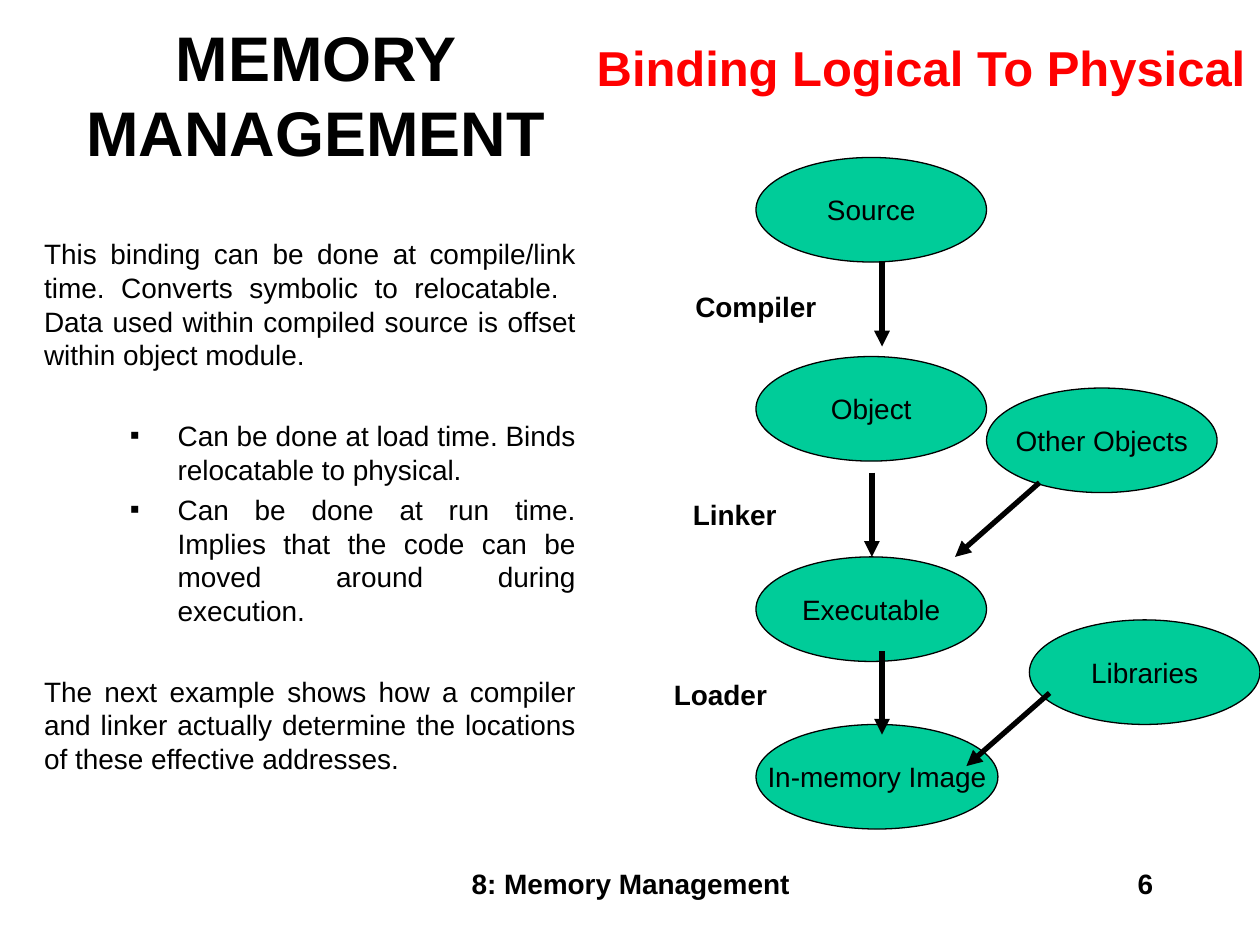
"""Build the slide on binding logical to physical addresses."""
from dataclasses import dataclass

from lxml import etree
from pptx import Presentation
from pptx.dml.color import RGBColor
from pptx.enum.shapes import MSO_CONNECTOR, MSO_SHAPE
from pptx.enum.text import MSO_ANCHOR, MSO_AUTO_SIZE, PP_ALIGN
from pptx.oxml.ns import qn
from pptx.util import Inches, Pt

LEFT, MID, RIGHT, FULL = PP_ALIGN.LEFT, PP_ALIGN.CENTER, PP_ALIGN.RIGHT, PP_ALIGN.JUSTIFY
OVAL, LINE = MSO_SHAPE.OVAL, MSO_CONNECTOR.STRAIGHT
MIDDLE, TOP = MSO_ANCHOR.MIDDLE, MSO_ANCHOR.TOP
FIXED, GROW = MSO_AUTO_SIZE.NONE, MSO_AUTO_SIZE.SHAPE_TO_FIT_TEXT


@dataclass(frozen=True)
class Theme:
    font: str = "Arial"
    ink: RGBColor = RGBColor(0, 0, 0)
    red: RGBColor = RGBColor(255, 0, 0)
    green: RGBColor = RGBColor(0, 204, 153)
    title: int = 36
    head: int = 28
    text: int = 16


theme = Theme()


def write(para, words, align=LEFT, size=theme.text, color=theme.ink, bold=False):
    para.alignment = align
    run = para.add_run()
    run.text = words
    font = run.font
    font.name, font.size, font.bold = theme.font, Pt(size), bold
    font.color.rgb = color


def place(shape, left, top, width, height):
    shape.left, shape.top = Inches(left), Inches(top)
    shape.width, shape.height = Inches(width), Inches(height)


deck = Presentation()
deck.slide_width, deck.slide_height = Inches(10), Inches(7.5)
slide = deck.slides.add_slide(deck.slide_layouts[1])
shapes = slide.shapes

title = shapes.title
place(title, 0.42, 0.33, 4.17, 0.83)
frame = title.text_frame
frame.auto_size, frame.vertical_anchor = FIXED, MIDDLE
write(frame.paragraphs[0], "MEMORY MANAGEMENT", MID, theme.title, bold=True)

ovals = [
    ("Source", 6, 1.25, 1.83),
    ("Object", 6, 2.83, 1.83),
    ("Executable", 6, 4.42, 1.83),
    ("In-memory Image", 6, 5.75, 1.92),
    ("Other Objects", 7.83, 3.08, 1.83),
    ("Libraries", 8.17, 4.92, 1.83),
]
for words, left, top, width in ovals:
    oval = shapes.add_shape(OVAL, Inches(left), Inches(top), Inches(width), Inches(0.83))
    oval.shadow.inherit = False
    oval.fill.solid()
    oval.fill.fore_color.rgb = theme.green
    oval.line.color.rgb = theme.ink
    oval.line.width = Pt(0.75)
    frame = oval.text_frame
    frame.word_wrap, frame.vertical_anchor = False, MIDDLE
    write(frame.paragraphs[0], words, MID)

arrows = [
    (7, 2.08, 7, 2.75),
    (6.92, 3.75, 6.92, 4.42),
    (7, 5.17, 7, 5.83),
    (8.25, 3.83, 7.58, 4.42),
    (8.33, 5.5, 7.67, 6.08),
]
for ends in arrows:
    arrow = shapes.add_connector(LINE, *map(Inches, ends))
    arrow.line.color.rgb = theme.ink
    arrow.line.width = Pt(3)
    etree.SubElement(arrow.line._get_or_add_ln(), qn("a:tailEnd"), type="triangle")
    etree.SubElement(arrow._element.spPr, qn("a:effectLst"))

labels = [
    ("Compiler", 5.42, 2.25, 1.16, 0.37, LEFT, theme.text, theme.ink, GROW),
    ("Linker", 5.4, 3.9, 0.87, 0.37, LEFT, theme.text, theme.ink, GROW),
    ("Loader", 5.25, 5.33, 0.94, 0.37, LEFT, theme.text, theme.ink, GROW),
    ("Binding Logical To Physical", 4.62, 0.25, 5.38, 0.57, MID, theme.head, theme.red, GROW),
    ("8: Memory Management", 3.42, 6.83, 3.17, 0.5, MID, theme.text, theme.ink, FIXED),
    ("6", 7.17, 6.83, 2.08, 0.5, RIGHT, theme.text, theme.ink, FIXED),
]
for words, left, top, width, height, align, size, color, fit in labels:
    label = shapes.add_textbox(*map(Inches, (left, top, width, height)))
    frame = label.text_frame
    frame.auto_size, frame.word_wrap = fit, fit == FIXED
    write(frame.paragraphs[0], words, align, size, color, True)

body = slide.placeholders[1]
place(body, 0.25, 1.83, 4.42, 4.5)
frame = body.text_frame
frame.auto_size, frame.vertical_anchor = FIXED, TOP
points = [
    (0, 0, "This binding can be done at compile/link time. Converts symbolic to relocatable.  "
           "Data used within compiled source is offset within object module."),
    (1, 27, "Can be done at load time. Binds relocatable to physical."),
    (1, 4, "Can be done at run time. Implies that the code can be moved around during execution."),
    (0, 27, "The next example shows how a compiler and linker actually determine "
            "the locations of these effective addresses."),
]
for rank, (level, gap, words) in enumerate(points):
    para = frame.add_paragraph() if rank else frame.paragraphs[0]
    para.level, para.space_before = level, Pt(gap)
    props = para._p.get_or_add_pPr()
    props.set("marL", str(Inches(1.06 * level)))
    props.set("indent", str(Inches(-0.38 * level)))
    if level:
        tint = etree.SubElement(props, qn("a:buClr"))
        etree.SubElement(tint, qn("a:srgbClr"), val=str(theme.ink))
        etree.SubElement(props, qn("a:buFont"), typeface=theme.font)
        etree.SubElement(props, qn("a:buChar"), char="▪")
    else:
        etree.SubElement(props, qn("a:buNone"))
    write(para, words, FULL)

deck.save("out.pptx")
